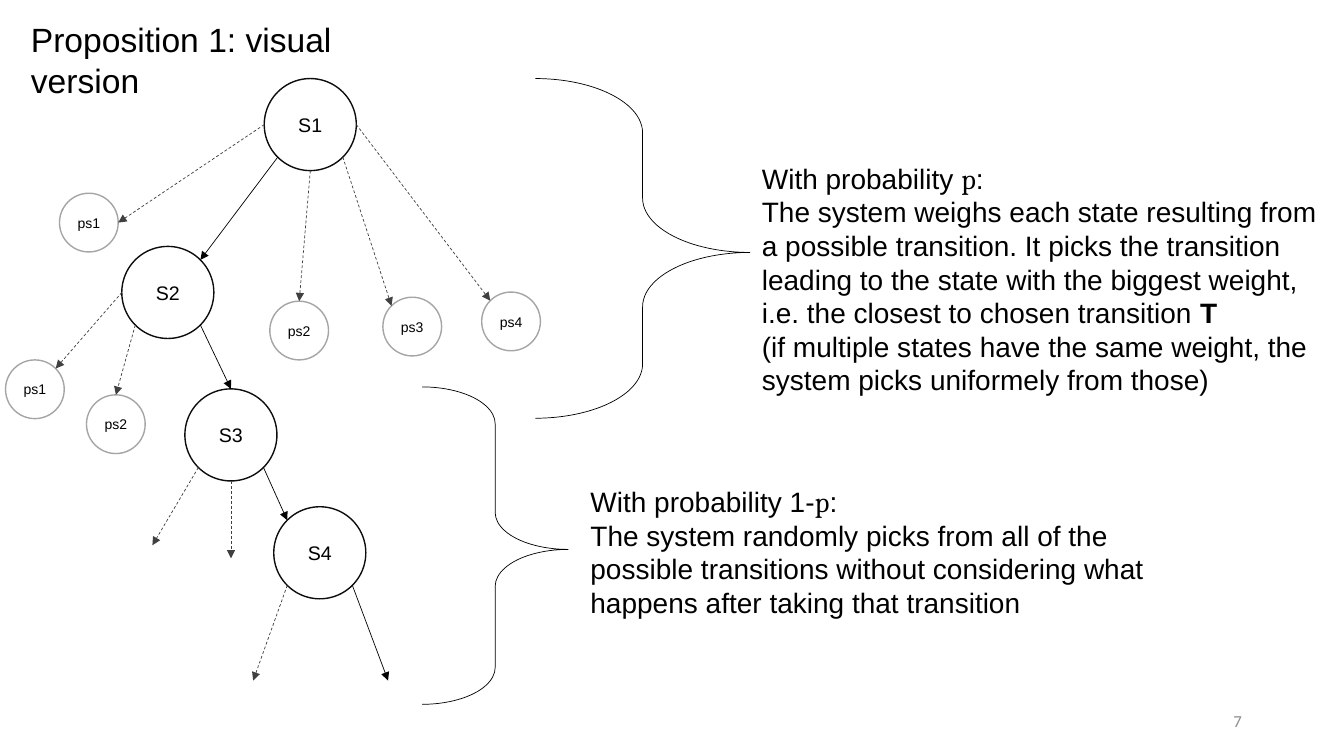
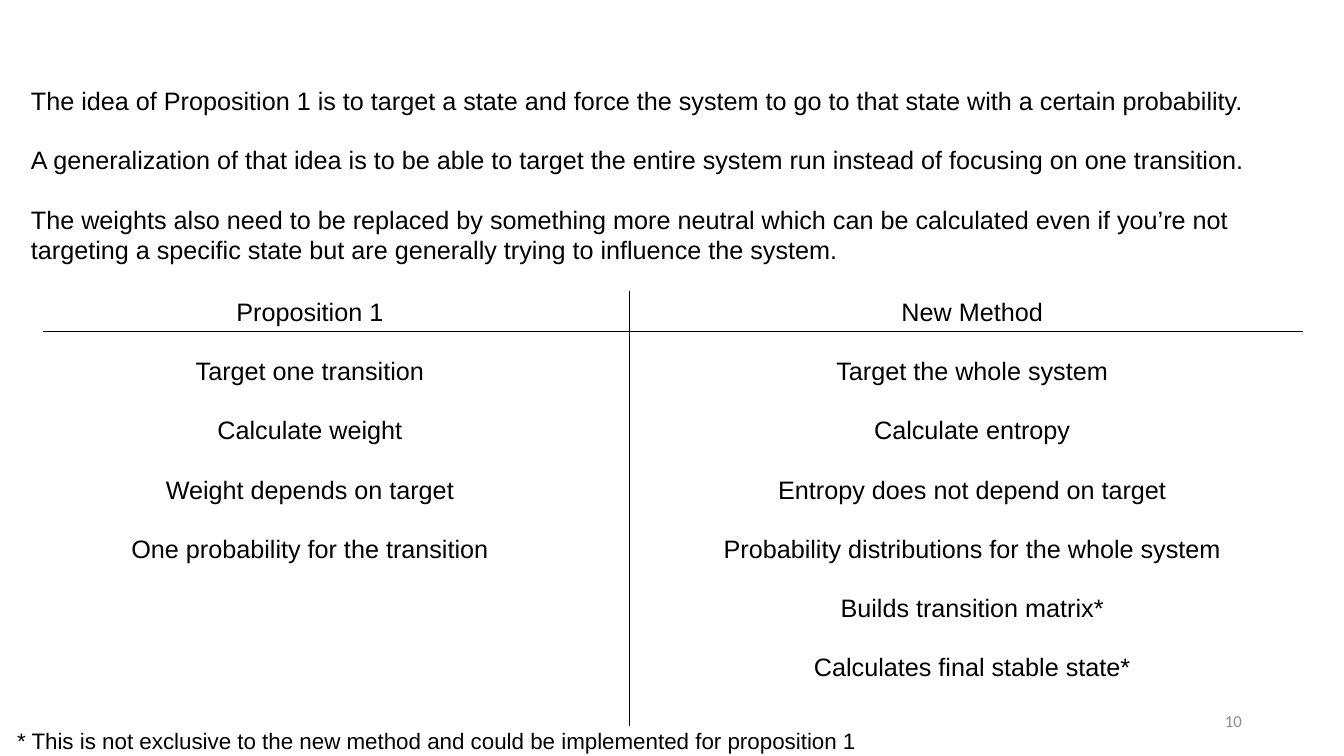
from math import cos, radians, sin
from typing import NamedTuple

from lxml.etree import SubElement
from pptx import Presentation
from pptx.dml.color import RGBColor
from pptx.enum.dml import MSO_LINE_DASH_STYLE as Dash
from pptx.enum.shapes import MSO_CONNECTOR, MSO_SHAPE
from pptx.enum.text import MSO_ANCHOR as Anchor, PP_ALIGN as Align
from pptx.oxml.ns import qn
from pptx.util import Cm, Pt

BLACK = RGBColor(0x00, 0x00, 0x00)
WHITE = RGBColor(0xFF, 0xFF, 0xFF)
INK = RGBColor(0x0D, 0x0D, 0x0D)
DARK_GREY = RGBColor(0x40, 0x40, 0x40)
RING_GREY = RGBColor(0xA5, 0xA5, 0xA5)
NUMBER_GREY = RGBColor(0x8C, 0x8C, 0x8C)

BODY_FONT = "Arial"
MATH_FONT = "Cambria"
NUMBER_FONT = "Calibri"
HAIRLINE = Pt(0.5)
BLANK_LINE = Pt(20.7)

RIGHT, BOTTOM_RIGHT, BOTTOM, BOTTOM_LEFT = 0, 45, 90, 135
LEFT, TOP_LEFT, TOP, TOP_RIGHT = 180, 225, 270, 315


class Box(NamedTuple):
    left: float
    top: float
    width: float
    height: float

    def region(self, left, top, width, height):
        return Box(self.left + left, self.top + top, width, height)

    def lengths(self):
        return [Cm(value) for value in self]


class Node(NamedTuple):
    x: float
    y: float
    size: float

    def rim(self, angle):
        radius = self.size / 2
        return (self.x + radius * cos(radians(angle)),
                self.y + radius * sin(radians(angle)))


PAGE = Box(0, 0, 33.87, 19.05)


def style_span(span, size, font=BODY_FONT, color=BLACK, bold=False):
    span.font.size = Pt(size)
    span.font.name = font
    span.font.color.rgb = color
    span.font.bold = bold


def add_text(page, box, text, size, font=BODY_FONT, color=BLACK,
             align=Align.LEFT, anchor=Anchor.TOP, gap=Pt(0)):
    frame = page.shapes.add_textbox(*box.lengths()).text_frame
    frame.word_wrap = True
    frame.vertical_anchor = anchor
    frame.text = text
    for index, para in enumerate(frame.paragraphs):
        para.alignment = align
        para.space_before = gap if index else Pt(0)
        for span in para.runs:
            style_span(span, size, font, color)
    return frame


def add_page_number(page, box, number):
    add_text(page, box.region(23.93, 17.65, 7.62, 1.02), str(number), 12,
             NUMBER_FONT, NUMBER_GREY, Align.RIGHT, Anchor.MIDDLE)


def add_line(page, start, end, color=BLACK):
    line = page.shapes.add_connector(
        MSO_CONNECTOR.STRAIGHT, *[Cm(value) for value in (*start, *end)])
    line.line.color.rgb = color
    line.line.width = HAIRLINE
    SubElement(line._element.spPr, qn("a:effectLst"))
    return line


def add_arrow(page, start, end, chosen):
    arrow = add_line(page, start, end, BLACK if chosen else DARK_GREY)
    if not chosen:
        arrow.line.dash_style = Dash.DASH
    outline = arrow._element.spPr.find(qn("a:ln"))
    SubElement(outline, qn("a:tailEnd"), type="triangle")


def add_node(page, node, label, text_size, ring):
    bounds = Box(node.x - node.size / 2, node.y - node.size / 2,
                 node.size, node.size)
    circle = page.shapes.add_shape(MSO_SHAPE.OVAL, *bounds.lengths())
    circle.shadow.inherit = False
    circle.fill.solid()
    circle.fill.fore_color.rgb = WHITE
    circle.line.color.rgb = ring
    circle.line.width = Pt(1)
    frame = circle.text_frame
    frame.margin_left = frame.margin_right = 0
    frame.margin_top = frame.margin_bottom = 0
    frame.vertical_anchor = Anchor.MIDDLE
    frame.text = label
    para = frame.paragraphs[0]
    para.alignment = Align.CENTER
    style_span(para.runs[0], text_size)


def add_state_tree(page, box):
    def place(centres, size):
        return [Node(box.left + x, box.top + y, size) for x, y in centres]

    states = place([(7.67, 1.16), (4.08, 5.39), (5.67, 8.98), (7.91, 11.95)],
                   2.32)
    first_options = place([(2.09, 3.63), (7.39, 6.35), (10.24, 6.25),
                           (12.73, 6.12)], 1.48)
    second_options = place([(0.73, 7.83), (2.77, 8.71)], 1.48)
    open_ends = place([(3.69, 11.76), (5.67, 12.09), (6.23, 15.17),
                       (9.63, 15.17)], 0)
    s1, s2, s3, s4 = states

    for number, node in enumerate(states, 1):
        add_node(page, node, f"S{number}", 14, INK)
    for options in (first_options, second_options):
        for number, node in enumerate(options, 1):
            add_node(page, node, f"ps{number}", 10, RING_GREY)

    chosen = [
        (s1, BOTTOM_LEFT, s2, TOP_RIGHT),
        (s2, BOTTOM_RIGHT, s3, TOP),
        (s3, BOTTOM_RIGHT, s4, TOP_LEFT),
        (s4, BOTTOM_RIGHT, open_ends[3], TOP),
    ]
    possible = [
        (s1, LEFT, first_options[0], RIGHT),
        (s1, BOTTOM, first_options[1], TOP),
        (s1, BOTTOM_RIGHT, first_options[2], TOP_LEFT),
        (s1, RIGHT, first_options[3], TOP_LEFT),
        (s2, LEFT, second_options[0], TOP_RIGHT),
        (s2, BOTTOM_LEFT, second_options[1], TOP),
        (s3, BOTTOM_LEFT, open_ends[0], TOP),
        (s3, BOTTOM, open_ends[1], TOP),
        (s4, BOTTOM_LEFT, open_ends[2], TOP),
    ]
    for transitions, is_chosen in ((chosen, True), (possible, False)):
        for source, leave, target, arrive in transitions:
            add_arrow(page, source.rim(leave), target.rim(arrive), is_chosen)


def add_brace(page, box):
    brace = page.shapes.add_shape(MSO_SHAPE.RIGHT_BRACE, *box.lengths())
    brace.shadow.inherit = False
    brace.fill.background()
    brace.line.color.rgb = BLACK
    brace.line.width = HAIRLINE
    brace.adjustments[0] = 0.253
    brace.adjustments[1] = 0.512


def append_span(para, text, font=BODY_FONT, bold=False):
    span = para.add_run()
    span.text = text
    style_span(span, 20, font, bold=bold)


def add_case(page, box, heading, lines, emphasis=""):
    frame = add_text(page, box, "\n".join([heading, *lines]), 20)
    append_span(frame.paragraphs[0], "p", MATH_FONT)
    append_span(frame.paragraphs[0], ":")
    if emphasis:
        append_span(frame.paragraphs[1], emphasis, bold=True)


def add_comparison(page, box, columns):
    divider = box.left + 14.78
    rule = box.top + 1.02
    add_line(page, (divider, box.top), (divider, box.top + box.height))
    add_line(page, (box.left, rule), (box.left + box.width, rule))
    for offset, entries in zip((-0.33, 16.36), columns):
        add_text(page, box.region(offset, 0, 14.1, 10.26), "\n".join(entries),
                 18, align=Align.CENTER, gap=BLANK_LINE)


def build_tree_page(page, box):
    add_text(page, box.region(0.53, 0.36, 10.59, 2.13),
             "Proposition 1: visual version", 24)
    add_state_tree(page, box.region(0.15, 1.98, 13.47, 15.17))
    add_brace(page, box.region(13.49, 1.98, 5.41, 8.56))
    add_case(page, box.region(18.95, 3.94, 14.66, 6.25), "With probability ", [
        "The system weighs each state resulting from a possible transition. "
        "It picks the transition leading to the state with the biggest "
        "weight, i.e. the closest to chosen transition ",
        "(if multiple states have the same weight, the system picks "
        "uniformely from those)",
    ], "T")
    add_brace(page, box.region(10.64, 9.75, 3.68, 8))
    add_case(page, box.region(14.63, 12.09, 14.66, 3.68),
             "With probability 1-", [
        "The system randomly picks from all of the possible transitions "
        "without considering what happens after taking that transition",
    ])
    add_page_number(page, box, 7)


def build_comparison_page(page, box):
    add_text(page, box.region(0.53, 2.03, 32.33, 5.64), "\n".join([
        "The idea of Proposition 1 is to target a state and force the system "
        "to go to that state with a certain probability.",
        "A generalization of that idea is to be able to target the entire "
        "system run instead of focusing on one transition.",
        "The weights also need to be replaced by something more neutral which "
        "can be calculated even if you’re not targeting a specific state but "
        "are generally trying to influence the system.",
    ]), 18, gap=BLANK_LINE)
    add_comparison(page, box.region(1.09, 7.34, 31.75, 10.95), [
        ["Proposition 1", "Target one transition", "Calculate weight",
         "Weight depends on target", "One probability for the transition"],
        ["New Method", "Target the whole system", "Calculate entropy",
         "Entropy does not depend on target",
         "Probability distributions for the whole system",
         "Builds transition matrix*", "Calculates final stable state*"],
    ])
    add_text(page, box.region(0.18, 18.19, 23.39, 0.94),
             "* This is not exclusive to the new method and could be "
             "implemented for proposition 1", 16)
    add_page_number(page, box, 10)


def main():
    deck = Presentation()
    deck.slide_width, deck.slide_height = Cm(PAGE.width), Cm(PAGE.height)
    for build in (build_tree_page, build_comparison_page):
        build(deck.slides.add_slide(deck.slide_layouts[6]), PAGE)
    deck.save("out.pptx")


main()
